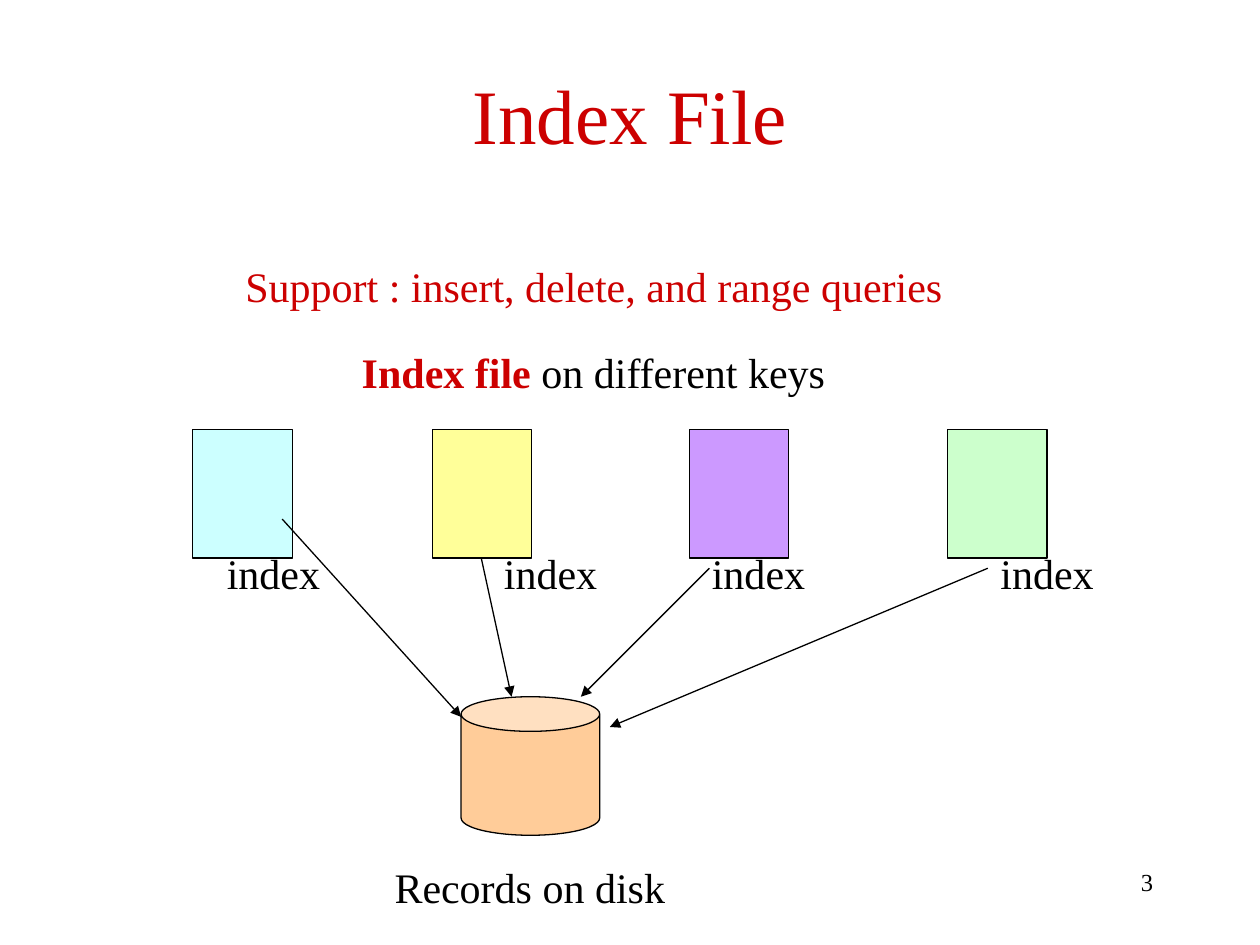
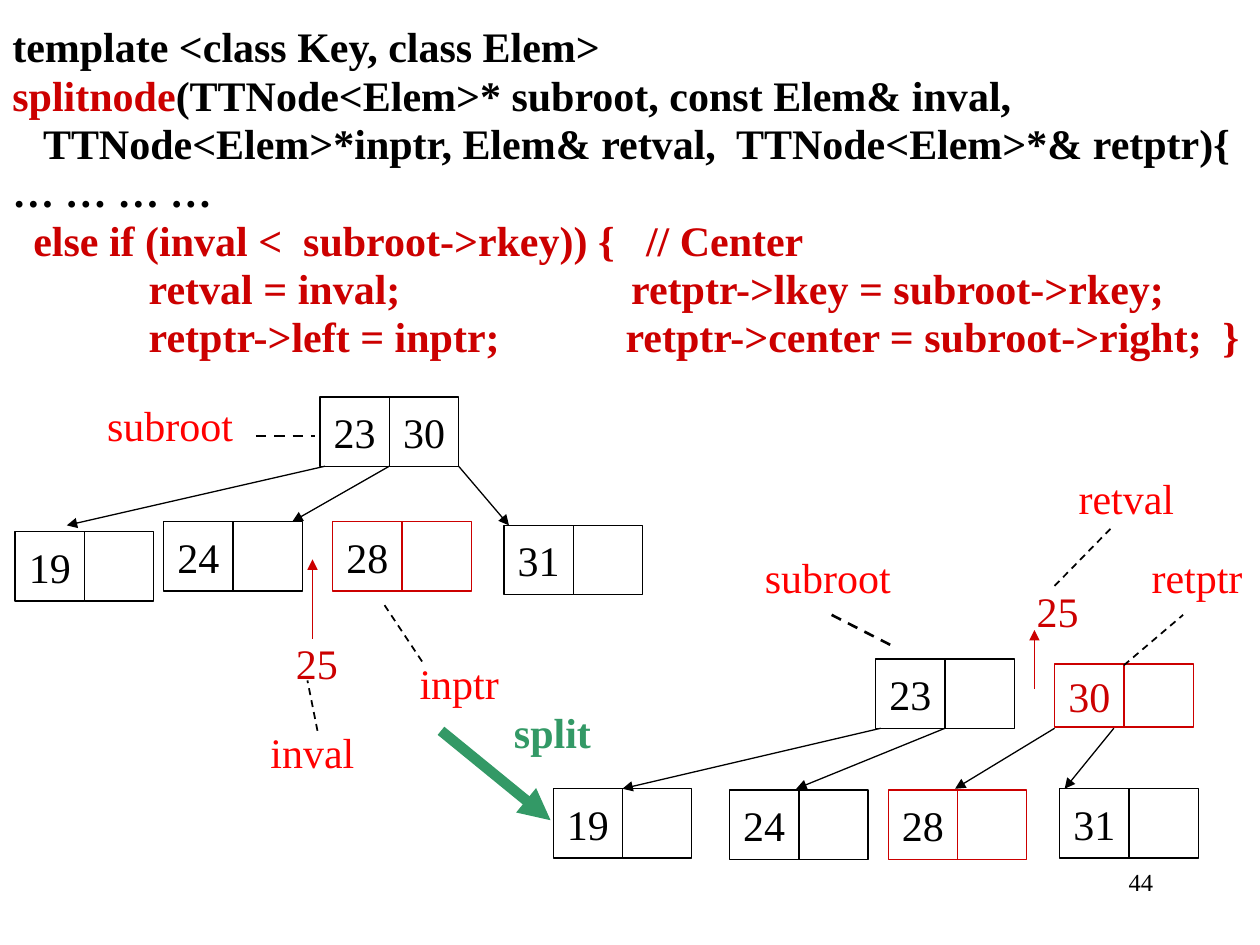
import pptx
import pptx.util
import pptx.dml.color
import pptx.enum.dml
import pptx.enum.shapes
import pptx.enum.text
import pptx.oxml

Inches = pptx.util.Inches
RGBColor = pptx.dml.color.RGBColor
SHAPE = pptx.enum.shapes.MSO_SHAPE
ALIGN = pptx.enum.text.PP_ALIGN

FONT = "Times New Roman"
BLACK = RGBColor(0x00, 0x00, 0x00)
WHITE = RGBColor(0xFF, 0xFF, 0xFF)
CRIMSON = RGBColor(0xCC, 0x00, 0x00)
RED = RGBColor(0xFF, 0x00, 0x00)
GREEN = RGBColor(0x33, 0x99, 0x66)
CYAN = RGBColor(0xCC, 0xFF, 0xFF)
YELLOW = RGBColor(0xFF, 0xFF, 0x99)
PURPLE = RGBColor(0xCC, 0x99, 0xFF)
MINT = RGBColor(0xCC, 0xFF, 0xCC)
ORANGE = RGBColor(0xFF, 0xCC, 0x99)


def write(shape, text, color=BLACK, size=24, bold=False, align=ALIGN.CENTER):
    """Fill a shape with one paragraph; return the paragraph."""
    frame = shape.text_frame
    frame.word_wrap = align != ALIGN.CENTER
    if align == ALIGN.CENTER:
        frame.margin_left = frame.margin_right = 0
    paragraph = frame.paragraphs[0]
    paragraph.text = text
    paragraph.alignment = align
    font = paragraph.font
    font.name, font.size, font.bold = FONT, pptx.util.Pt(size), bold
    font.color.rgb = color
    return paragraph


def link(slide, x1, y1, x2, y2, color=BLACK, width=0.75, dashed=False):
    """Draw an arrow, or a dashed line without a head."""
    connector = slide.shapes.add_connector(
        pptx.enum.shapes.MSO_CONNECTOR.STRAIGHT,
        Inches(x1), Inches(y1), Inches(x2), Inches(y2))
    connector.line.color.rgb = color
    connector.line.width = pptx.util.Pt(width)
    if dashed:
        connector.line.dash_style = pptx.enum.dml.MSO_LINE.DASH
    else:
        namespace = 'xmlns:a="http://schemas.openxmlformats.org/drawingml/2006/main"'
        connector.line._get_or_add_ln().append(
            pptx.oxml.parse_xml(f'<a:tailEnd {namespace} type="triangle"/>'))
    properties = connector._element.spPr
    properties.append(properties.makeelement(
        "{http://schemas.openxmlformats.org/drawingml/2006/main}effectLst", {}))


deck = pptx.Presentation()
deck.slide_width, deck.slide_height = Inches(10), Inches(7.5)

# Shared background and page number
for page_number in ("3", "44"):
    slide = deck.slides.add_slide(deck.slide_layouts[6])
    slide.background.fill.solid()
    slide.background.fill.fore_color.rgb = WHITE
    footer = slide.shapes.add_textbox(Inches(7.17), Inches(6.83), Inches(2.08), Inches(0.5))
    write(footer, page_number, size=14, align=ALIGN.RIGHT)
index_slide, split_slide = deck.slides

# Index File: title and captions
title = index_slide.shapes.add_textbox(Inches(0.5), Inches(0.4), Inches(9), Inches(1))
title.text_frame.vertical_anchor = pptx.enum.text.MSO_ANCHOR.MIDDLE
write(title, "Index File", CRIMSON, 44)

for left, top, width, caption, color in [
    (1.85, 2.02, 5.73, "Support : insert, delete, and range queries", CRIMSON),
    (3.03, 6.79, 2.35, "Records on disk", BLACK),
]:
    box = index_slide.shapes.add_textbox(Inches(left), Inches(top), Inches(width), Inches(0.5))
    write(box, caption, color)

keys_caption = index_slide.shapes.add_textbox(Inches(2.77), Inches(2.7), Inches(3.88), Inches(0.5))
keys_line = write(keys_caption, "Index file")
keys_line.runs[0].font.bold = True
keys_line.runs[0].font.color.rgb = CRIMSON
keys_line.add_run().text = " on different keys"

# Index files, their labels, and the disk
for preset, left, top, width, height, fill in [
    (SHAPE.CAN, 3.66, 5.53, 1.1, 1.1, ORANGE),
    (SHAPE.RECTANGLE, 1.53, 3.41, 0.79, 1.02, CYAN),
    (SHAPE.RECTANGLE, 3.43, 3.41, 0.79, 1.02, YELLOW),
    (SHAPE.RECTANGLE, 5.47, 3.41, 0.79, 1.02, PURPLE),
    (SHAPE.RECTANGLE, 7.52, 3.41, 0.79, 1.02, MINT),
]:
    store = index_slide.shapes.add_shape(
        preset, Inches(left), Inches(top), Inches(width), Inches(height))
    store.shadow.inherit = False
    store.fill.solid()
    store.fill.fore_color.rgb = fill
    store.line.color.rgb = BLACK
    store.line.width = pptx.util.Pt(0.75)

for left in (1.7, 3.9, 5.55, 7.84):
    label = index_slide.shapes.add_textbox(Inches(left), Inches(4.3), Inches(0.94), Inches(0.5))
    write(label, "index")

for ends in [(2.24, 4.12, 3.66, 5.69), (3.82, 4.43, 4.06, 5.53),
             (5.63, 4.51, 4.61, 5.53), (7.84, 4.51, 4.84, 5.77)]:
    link(index_slide, *ends)

# Split: code, each line as (text, colour) pieces
code_lines = [
    [("template <class Key, class Elem>", BLACK)],
    [("splitnode", CRIMSON), ("(TTNode<Elem>* subroot, const Elem& inval,", BLACK)],
    [("   TTNode<Elem>*inptr, Elem& retval,  TTNode<Elem>*& retptr){", BLACK)],
    [("… … … …", BLACK)],
    [("  else if (inval <  subroot->rkey)) {   // Center", CRIMSON)],
    [("             retval = inval;                      retptr->lkey = subroot->rkey;", CRIMSON)],
    [("             retptr->left = inptr;            retptr->center = subroot->right;  }", CRIMSON)],
]
code = split_slide.shapes.add_textbox(0, Inches(0.21), Inches(10), Inches(7.09))
code.text_frame.word_wrap = True
for number, pieces in enumerate(code_lines):
    line = code.text_frame.add_paragraph() if number else code.text_frame.paragraphs[0]
    line.line_spacing = 0.75
    line.space_before = pptx.util.Pt(6 if number else 0)
    line.font.name, line.font.size, line.font.bold = FONT, pptx.util.Pt(24), True
    line.font.color.rgb = pieces[0][1]
    for text, color in pieces:
        run = line.add_run()
        run.text = text
        if color != pieces[0][1]:
            run.font.color.rgb = color

# Tree nodes: two key cells side by side
CELL = 0.55
for left, top, height, keys, outline, key_color in [
    (2.54, 3.15, CELL, ("23", "30"), BLACK, BLACK),
    (0.12, 4.22, CELL, ("19", ""), BLACK, BLACK),
    (1.3, 4.14, CELL, ("24", ""), BLACK, BLACK),
    (2.64, 4.14, CELL, ("28", ""), CRIMSON, BLACK),
    (4, 4.17, CELL, ("31", ""), BLACK, BLACK),
    (6.95, 5.23, CELL, ("23", ""), BLACK, BLACK),
    (8.37, 5.27, 0.5, ("30", ""), CRIMSON, CRIMSON),
    (4.39, 6.26, CELL, ("19", ""), BLACK, BLACK),
    (5.79, 6.27, CELL, ("24", ""), BLACK, BLACK),
    (7.05, 6.27, CELL, ("28", ""), CRIMSON, BLACK),
    (8.41, 6.26, CELL, ("31", ""), BLACK, BLACK),
]:
    for column, key in enumerate(keys):
        cell = split_slide.shapes.add_shape(
            SHAPE.RECTANGLE, Inches(left + column * CELL), Inches(top), Inches(CELL), Inches(height))
        cell.shadow.inherit = False
        cell.fill.background()
        cell.line.color.rgb = outline
        cell.line.width = pptx.util.Pt(0.75)
        if key:
            write(cell, key, key_color)

# Child pointers
for ends in [(2.58, 3.7, 0.53, 4.17), (3.09, 3.7, 2.32, 4.14), (3.64, 3.7, 4.04, 4.17),
             (6.99, 5.78, 4.94, 6.26), (7.5, 5.78, 6.32, 6.26),
             (8.37, 5.78, 7.58, 6.26), (8.84, 5.78, 8.45, 6.26)]:
    link(split_slide, *ends)

# Moving key 25 and the split step
link(split_slide, 2.48, 5.07, 2.48, 4.44, CRIMSON)
link(split_slide, 8.21, 5.47, 8.21, 5, CRIMSON)
link(split_slide, 3.5, 5.8, 4.37, 6.51, GREEN, 6)

# Dashed lines from variable names to nodes
for *ends, width in [(2.03, 3.46, 2.5, 3.46, 1.5), (6.6, 4.88, 7.07, 5.12, 1.5),
                     (3.35, 5.25, 3.03, 4.77, 1), (2.52, 5.8, 2.44, 5.4, 1),
                     (8.37, 4.65, 8.84, 4.17, 1), (8.92, 5.28, 9.39, 4.88, 1)]:
    link(split_slide, *ends, width=width, dashed=True)

# Variable names and values
for left, top, width, name, color in [
    (0.75, 3.12, 1.2, "subroot", RED),
    (3.23, 5.17, 0.83, "inptr", RED),
    (2.05, 5.72, 0.86, "inval", RED),
    (8.46, 3.7, 0.96, "retval", RED),
    (9.04, 4.33, 0.92, "retptr", RED),
    (5.97, 4.33, 1.2, "subroot", RED),
    (2.25, 5.01, 0.53, "25", CRIMSON),
    (8.13, 4.6, 0.53, "25", CRIMSON),
    (3.98, 5.56, 0.81, "split", GREEN),
]:
    label = split_slide.shapes.add_textbox(Inches(left), Inches(top), Inches(width), Inches(0.5))
    write(label, name, color, bold=name == "split")

deck.save("out.pptx")
